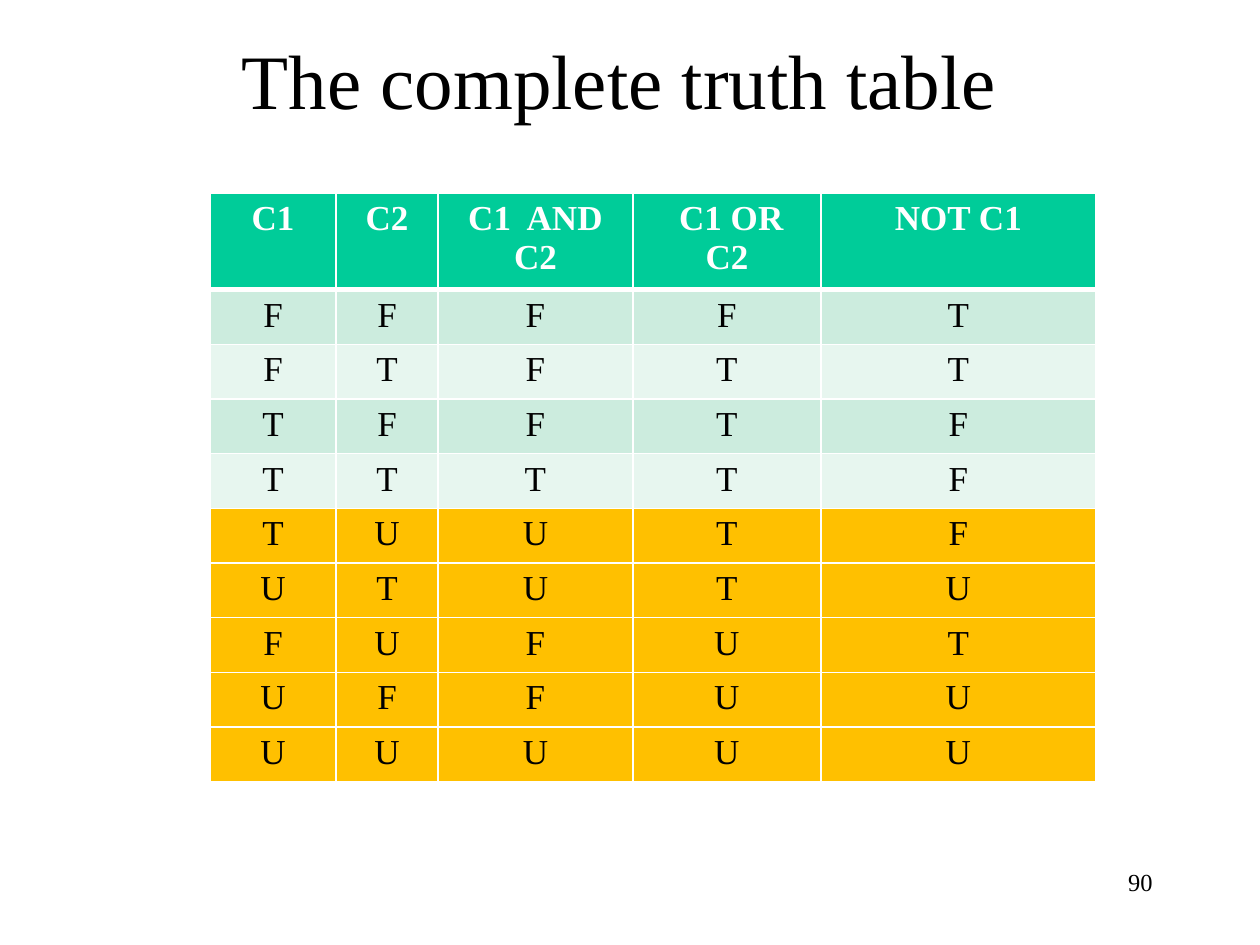
from typing import NamedTuple

from lxml import etree
from pptx import Presentation
from pptx.dml.color import RGBColor
from pptx.enum.text import MSO_ANCHOR, PP_ALIGN
from pptx.oxml.ns import qn
from pptx.util import Emu, Pt

EMU_PER_INCH, PX_PER_INCH = 914400, 126
FONT_NAME = "Times New Roman"
CENTER, RIGHT = PP_ALIGN.CENTER, PP_ALIGN.RIGHT
TOP, MIDDLE = MSO_ANCHOR.TOP, MSO_ANCHOR.MIDDLE

BLACK = RGBColor(0x00, 0x00, 0x00)
WHITE = RGBColor(0xFF, 0xFF, 0xFF)
HEADER_GREEN = RGBColor(0x00, 0xCC, 0x99)
BANDS = (RGBColor(0xCC, 0xEC, 0xDE), RGBColor(0xE7, 0xF6, 0xEF))
UNKNOWN_AMBER = RGBColor(0xFF, 0xC0, 0x00)

TABLE_LEFT, TABLE_TOP, ROW_HEIGHT = 210, 193, 51
COLUMN_WIDTHS = (126, 102, 195, 188, 275)
HEADINGS = ("C1", "C2", "C1  AND C2", " C1 OR C2", "NOT C1")
TRUTH_ROWS = ("FFFFT", "FTFTT", "TFFTF", "TTTTF", "TUUTF",
              "UTUTU", "FUFUT", "UFFUU", "UUUUU")


class Label(NamedTuple):
    text: str
    left: int
    top: int
    width: int
    height: int
    size: int
    align: PP_ALIGN
    anchor: MSO_ANCHOR


LABELS = (
    Label("The complete truth table", 84, 0, 1071, 158, 44, CENTER, MIDDLE),
    Label("90", 903, 861, 262, 63, 14, RIGHT, TOP),
)


def px(length: int) -> Emu:
    return Emu(round(length * EMU_PER_INCH / PX_PER_INCH))


def write(frame, text: str, size: int, align=CENTER, color=BLACK, bold=False) -> None:
    paragraph = frame.paragraphs[0]
    paragraph.alignment = align
    run = paragraph.add_run()
    run.text = text
    run.font.color.rgb = color
    font_format = {"name": FONT_NAME, "size": Pt(size), "bold": bold}
    for attribute, value in font_format.items():
        setattr(run.font, attribute, value)


def add_label(slide, label: Label) -> None:
    box = slide.shapes.add_textbox(
        *map(px, (label.left, label.top, label.width, label.height)))
    frame = box.text_frame
    frame.word_wrap = True
    frame.vertical_anchor = label.anchor
    write(frame, label.text, label.size, label.align)


def set_borders(cell, top: int, bottom: int) -> None:
    """Draw white cell edges; top and bottom widths are in points."""
    properties = cell._tc.get_or_add_tcPr()
    widths = {"a:lnL": 1, "a:lnR": 1, "a:lnT": top, "a:lnB": bottom}
    for position, (tag, width) in enumerate(widths.items()):
        line = etree.Element(qn(tag), w=str(Pt(width)))
        fill = etree.SubElement(line, qn("a:solidFill"))
        etree.SubElement(fill, qn("a:srgbClr"), val=str(WHITE))
        properties.insert(position, line)


def row_fill(number: int, values: str) -> RGBColor:
    """Amber marks rows with an unknown value; the others are banded."""
    return UNKNOWN_AMBER if "U" in values else BANDS[number % 2]


def add_truth_table(slide) -> None:
    rows = (HEADINGS, *TRUTH_ROWS)
    frame = slide.shapes.add_table(
        len(rows), len(HEADINGS), px(TABLE_LEFT), px(TABLE_TOP),
        px(sum(COLUMN_WIDTHS)), px(ROW_HEIGHT * len(rows)))
    table = frame.table
    table.horz_banding = False
    for column, width in zip(table.columns, COLUMN_WIDTHS):
        column.width = px(width)
    for index, values in enumerate(rows):
        table.rows[index].height = px(ROW_HEIGHT)
        is_header = index == 0
        fill = HEADER_GREEN if is_header else row_fill(index - 1, values)
        for column, value in enumerate(values):
            cell = table.cell(index, column)
            cell.fill.solid()
            cell.fill.fore_color.rgb = fill
            set_borders(cell, top=3 if index == 1 else 1, bottom=3 if is_header else 1)
            write(cell.text_frame, value, 20,
                  color=WHITE if is_header else BLACK, bold=is_header)


def main() -> None:
    presentation = Presentation()
    presentation.slide_width, presentation.slide_height = px(1260), px(945)
    slide = presentation.slides.add_slide(presentation.slide_layouts[6])
    for label in LABELS:
        add_label(slide, label)
    add_truth_table(slide)
    presentation.save("out.pptx")


if __name__ == "__main__":
    main()
